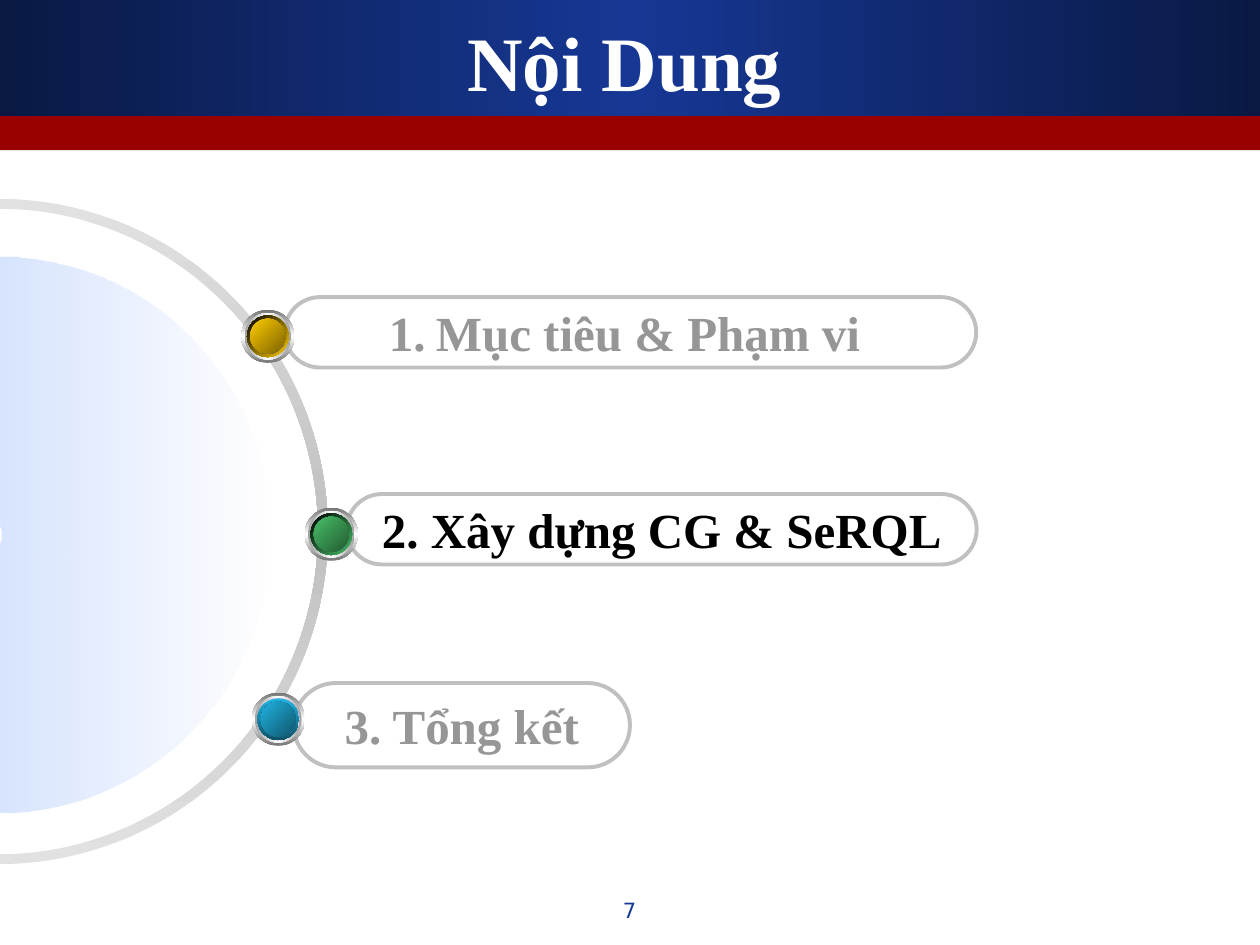
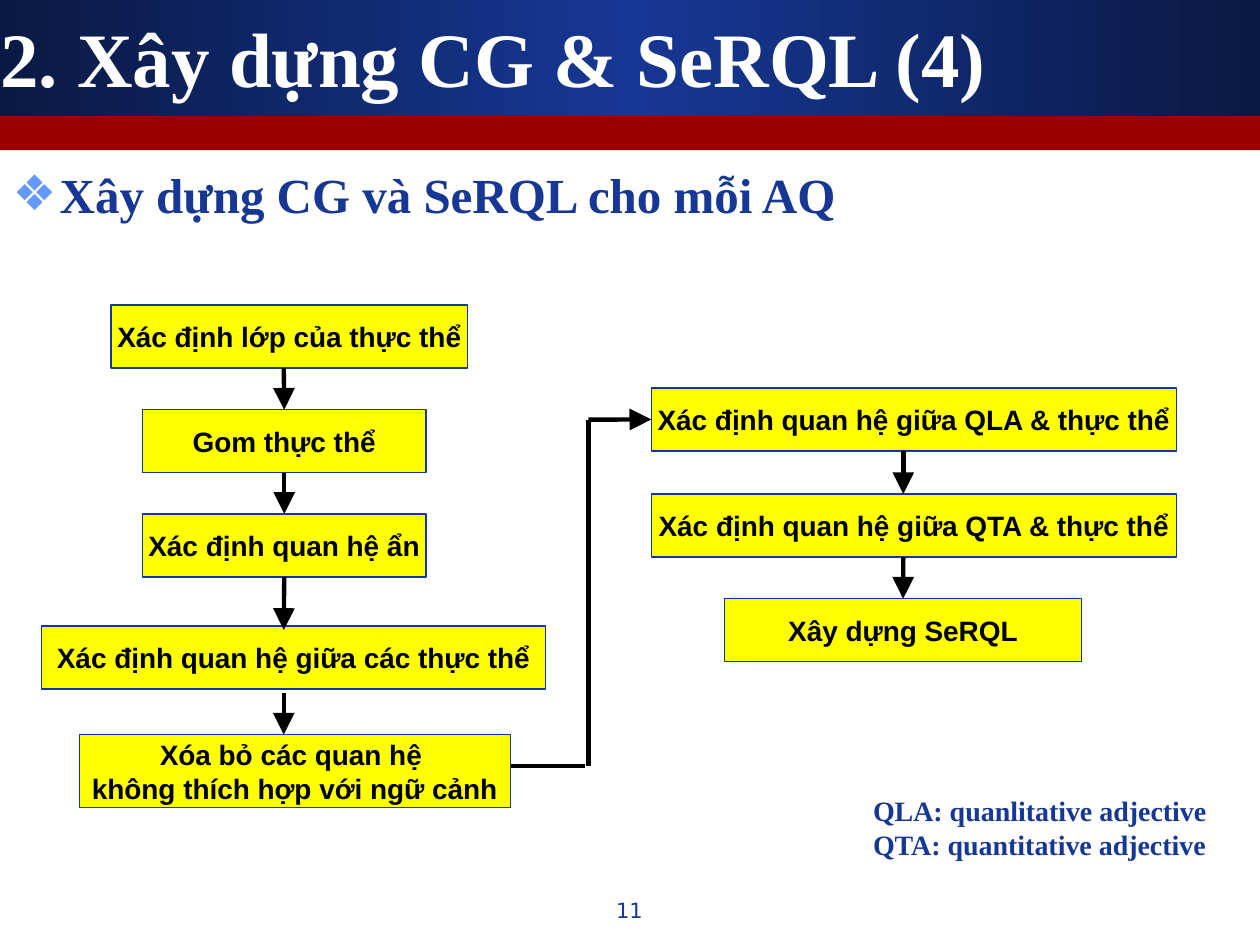
from lxml import etree
from pptx import Presentation
from pptx.dml.color import RGBColor
from pptx.enum.shapes import MSO_CONNECTOR, MSO_SHAPE
from pptx.enum.text import MSO_ANCHOR, MSO_AUTO_SIZE, PP_ALIGN
from pptx.oxml import parse_xml
from pptx.oxml.ns import nsdecls, qn
from pptx.util import Cm, Pt

# Colours
NAVY = RGBColor(0x0A, 0x19, 0x44)
BLUE = RGBColor(0x16, 0x37, 0x94)
DARK_RED = RGBColor(0x99, 0x00, 0x00)
WHITE = RGBColor(0xFF, 0xFF, 0xFF)
BLACK = RGBColor(0x00, 0x00, 0x00)
YELLOW = RGBColor(0xFF, 0xFF, 0x00)
SKY = RGBColor(0x66, 0x99, 0xFF)
DEEP_SKY = RGBColor(0x36, 0x52, 0x89)
PALE = RGBColor(0xFE, 0xFE, 0xFE)
ARC_LIGHT = RGBColor(0xE1, 0xE1, 0xE1)
ARC_GREY = RGBColor(0xC0, 0xC0, 0xC0)
RIM_DARK = RGBColor(0x75, 0x75, 0x75)
RIM_GREY = RGBColor(0xA1, 0xA1, 0xA1)
MUTED = RGBColor(0x96, 0x96, 0x96)
GOLD = RGBColor(0xFF, 0xCC, 0x00)
DARK_GOLD = RGBColor(0x7B, 0x62, 0x00)
GREEN = RGBColor(0x48, 0xBE, 0x67)
DARK_GREEN = RGBColor(0x22, 0x5C, 0x31)
TEAL = RGBColor(0x21, 0xB3, 0xE1)
DARK_TEAL = RGBColor(0x0F, 0x56, 0x6C)
TEAL_SHADE = RGBColor(0x0F, 0x52, 0x67)

SERIF = "Times New Roman"
SANS = "Arial"
NUMBER_FONT = "DejaVu Sans"
INDENT = Cm(0.95)
STEP_HEIGHT = 1.27


def cm(*lengths):
    return [Cm(length) for length in lengths]


def gradient(shape, angle, colours, alphas=None):
    """Fill with evenly spaced colours; the angle runs clockwise."""
    shape.fill.gradient()
    fill = shape.element.spPr.find(qn("a:gradFill"))
    for child in list(fill):
        fill.remove(child)
    stops = etree.SubElement(fill, qn("a:gsLst"))
    for i, colour in enumerate(colours):
        position = 100000 * i // (len(colours) - 1)
        stop = etree.SubElement(stops, qn("a:gs"), pos=str(position))
        value = etree.SubElement(stop, qn("a:srgbClr"), val=str(colour))
        if alphas:
            etree.SubElement(value, qn("a:alpha"), val=str(alphas[i] * 1000))
    etree.SubElement(fill, qn("a:lin"), ang=str(angle * 60000), scaled="0")


def add_plain(shapes, preset, box, fill=None, line=None, width=0):
    shape = shapes.add_shape(preset, *cm(*box))
    shape.shadow.inherit = False
    if fill is None:
        shape.fill.background()
    else:
        shape.fill.solid()
        shape.fill.fore_color.rgb = fill
    if line is None:
        shape.line.fill.background()
    else:
        shape.line.color.rgb = line
        shape.line.width = Pt(width)
    return shape


def write(shape, text, size, colour, font=SERIF, bold=True, align=PP_ALIGN.LEFT,
          anchor=MSO_ANCHOR.TOP, wrap=True):
    frame = shape.text_frame
    frame.text = text
    frame.word_wrap = wrap
    frame.auto_size = MSO_AUTO_SIZE.NONE
    frame.vertical_anchor = anchor
    for paragraph in frame.paragraphs:
        paragraph.alignment = align
        for run in paragraph.runs:
            run.font.name = font
            run.font.size = Pt(size)
            run.font.bold = bold
            run.font.color.rgb = colour


def add_bullet(paragraph, colour, font, marker):
    """Give the paragraph a hanging marker, such as buChar or buAutoNum."""
    properties = paragraph._p.get_or_add_pPr()
    properties.set("marL", str(INDENT))
    properties.set("indent", str(-INDENT))
    for xml in (f'<a:buClr {nsdecls("a")}><a:srgbClr val="{colour}"/></a:buClr>',
                f'<a:buFont {nsdecls("a")} typeface="{font}"/>',
                f'<a:{marker} {nsdecls("a")}/>'.replace("/>", "/>")):
        properties.append(parse_xml(xml))


def place(placeholder, box):
    placeholder.left, placeholder.top, placeholder.width, placeholder.height = cm(*box)


def add_slide(prs, layout, title, title_box, title_align, number):
    slide = prs.slides.add_slide(prs.slide_layouts[layout])
    place(slide.shapes.title, title_box)
    write(slide.shapes.title, title, 44, WHITE, align=title_align, anchor=MSO_ANCHOR.MIDDLE)
    page_number = slide.shapes.add_textbox(*cm(9.73, 17.96, 5.92, 0.89))
    write(page_number, number, 12, BLUE, NUMBER_FONT, False, PP_ALIGN.CENTER)
    return slide


def move_bands_to_master(prs, slide):
    """Draw the header bands and keep them behind every slide."""
    header = add_plain(slide.shapes, MSO_SHAPE.RECTANGLE, (0, 0, 25.4, 2.34))
    gradient(header, 0, [NAVY, BLUE, NAVY])
    stripe = add_plain(slide.shapes, MSO_SHAPE.RECTANGLE, (0, 2.34, 25.4, 0.69), DARK_RED)
    for position, band in enumerate((header, stripe), start=2):
        prs.slide_master.shapes.element.insert(position, band.element)


def add_arc(slide, box, start, end, thickness):
    arc = add_plain(slide.shapes, MSO_SHAPE.BLOCK_ARC, box)
    # Angles are stored in 60000ths of a degree, scaled by 100000
    arc.adjustments[0] = start * 0.6
    arc.adjustments[1] = end * 0.6
    arc.adjustments[2] = thickness
    return arc


def add_pill(slide, box, text, colour):
    pill = add_plain(slide.shapes, MSO_SHAPE.ROUNDED_RECTANGLE, box, line=ARC_GREY, width=2.25)
    pill.adjustments[0] = 0.5
    write(pill, text, 28, colour, align=PP_ALIGN.CENTER, anchor=MSO_ANCHOR.MIDDLE, wrap=False)
    return pill


def add_orb(slide, centre, bright, dark, shade, shade_angle):
    layers = [
        (1.07, 90, [RIM_DARK, WHITE, RIM_DARK]),
        (0.94, 180, [RIM_GREY, WHITE, RIM_GREY]),
        (0.84, 225, [PALE, SKY, PALE]),
        (0.84, shade_angle, [bright, shade]),
        (0.71, 135, [DEEP_SKY, SKY, DEEP_SKY]),
        (0.71, 225, [dark, bright]),
    ]
    orb = slide.shapes.add_group_shape()
    x, y = centre
    for size, angle, colours in layers:
        disc = add_plain(orb.shapes, MSO_SHAPE.OVAL, (x - size / 2, y - size / 2, size, size))
        gradient(disc, angle, colours)


def add_step(slide, left, top, width, text, height=STEP_HEIGHT):
    step = add_plain(slide.shapes, MSO_SHAPE.FLOWCHART_PROCESS, (left, top, width, height),
                     YELLOW, BLUE, 0.75)
    write(step, text, 16, BLACK, SANS, align=PP_ALIGN.CENTER, anchor=MSO_ANCHOR.MIDDLE,
          wrap=False)
    return step


def add_flow(slide, start, end, arrow=True, source=None, target=None):
    """Draw a line; source and target are (step, side) pairs to join."""
    flow = slide.shapes.add_connector(MSO_CONNECTOR.STRAIGHT, *cm(*start, *end))
    if source:
        flow.begin_connect(*source)
    if target:
        flow.end_connect(*target)
    flow.line.color.rgb = BLACK
    flow.line.width = Pt(2.5)
    properties = flow.element.spPr
    if arrow:
        etree.SubElement(properties.find(qn("a:ln")), qn("a:tailEnd"),
                         type="triangle", w="lg", len="lg")
    etree.SubElement(properties, qn("a:effectLst"))


def build_agenda(prs):
    slide = add_slide(prs, 5, "Nội Dung", (0.84, 0.43, 23.5, 1.57), PP_ALIGN.CENTER, "7")
    move_bands_to_master(prs, slide)

    # Half-circle dial
    ring = add_arc(slide, (-6.65, 4.01, 13.26, 13.41), 270, 90, 0.015)
    gradient(ring, 90, [ARC_LIGHT, ARC_GREY, ARC_LIGHT])
    dial = add_arc(slide, (-5.47, 5.17, 10.92, 11.2), 270, 162, 0.497)
    gradient(dial, 0, [SKY, PALE], [56, 48])

    # Agenda items
    add_pill(slide, (5.92, 13.77, 6.78, 1.7), "3. Tổng kết", MUTED)
    add_pill(slide, (6.99, 9.96, 12.7, 1.42), "2. Xây dựng CG & SeRQL", BLACK)
    goals = add_pill(slide, (5.74, 5.99, 13.94, 1.42), "Mục tiêu & Phạm vi ", MUTED)
    add_bullet(goals.text_frame.paragraphs[0], MUTED, SERIF, 'buAutoNum type="arabicPeriod"')

    # Orbs on the ring
    add_orb(slide, (5.4, 6.78), GOLD, DARK_GOLD, BLACK, 225)
    add_orb(slide, (6.68, 10.77), GREEN, DARK_GREEN, BLACK, 225)
    add_orb(slide, (5.61, 14.5), TEAL, DARK_TEAL, TEAL_SHADE, 90)


def build_process(prs):
    slide = add_slide(prs, 1, "2. Xây dựng CG & SeRQL (4)", (-0.25, 0.36, 25.65, 1.57),
                      PP_ALIGN.LEFT, "11")
    body = slide.placeholders[1]
    place(body, (0, 3.18, 24.97, 14.61))
    write(body, "Xây dựng CG và SeRQL cho mỗi AQ", 28, BLUE)
    heading = body.text_frame.paragraphs[0]
    heading.space_before = Pt(7)
    add_bullet(heading, SKY, NUMBER_FONT, 'buChar char="❖"')

    # Steps
    add_step(slide, 2.24, 6.15, 7.19, "Xác định lớp của thực thể")
    gather = add_step(slide, 2.87, 8.26, 5.72, "Gom thực thể")
    hidden_relation = add_step(slide, 2.87, 10.36, 5.72, "Xác định quan hệ ẩn")
    add_step(slide, 0.84, 12.62, 10.16, "Xác định quan hệ giữa các thực thể")
    add_step(slide, 1.6, 14.81, 8.69, "Xóa bỏ các quan hệ \nkhông thích hợp với ngữ cảnh", 1.47)
    qualitative = add_step(slide, 13.13, 7.82, 10.59, "Xác định quan hệ giữa QLA & thực thể")
    add_step(slide, 13.13, 9.96, 10.59, "Xác định quan hệ giữa QTA & thực thể")
    build_query = add_step(slide, 14.61, 12.07, 7.19, "Xây dựng SeRQL")

    # Downward arrows
    left_axis, right_axis = 5.72, 18.21
    for axis, top, bottom, source, target in [
        (left_axis, 7.42, 8.26, None, (gather, 0)),
        (left_axis, 9.53, 10.36, (gather, 2), (hidden_relation, 0)),
        (left_axis, 11.63, 12.7, (hidden_relation, 2), None),
        (left_axis, 13.97, 14.81, None, None),
        (right_axis, 9.09, 9.96, None, None),
        (right_axis, 11.23, 12.07, None, (build_query, 0)),
    ]:
        add_flow(slide, (axis, top), (axis, bottom), source=source, target=target)

    # Link from the left column to the right one
    add_flow(slide, (11.86, 8.46), (11.86, 15.44), arrow=False)
    add_flow(slide, (11.86, 8.46), (13.13, 8.46), target=(qualitative, 1))
    add_flow(slide, (10.31, 15.44), (11.79, 15.44), arrow=False)

    # Abbreviations
    legend = slide.shapes.add_textbox(*cm(17.35, 15.88, 8.05, 1.63))
    write(legend, "QLA: quanlitative adjective\nQTA: quantitative adjective", 16, BLUE)


def main():
    prs = Presentation()
    prs.slide_width, prs.slide_height = cm(25.4, 19.05)
    build_agenda(prs)
    build_process(prs)
    prs.save("out.pptx")


if __name__ == "__main__":
    main()
